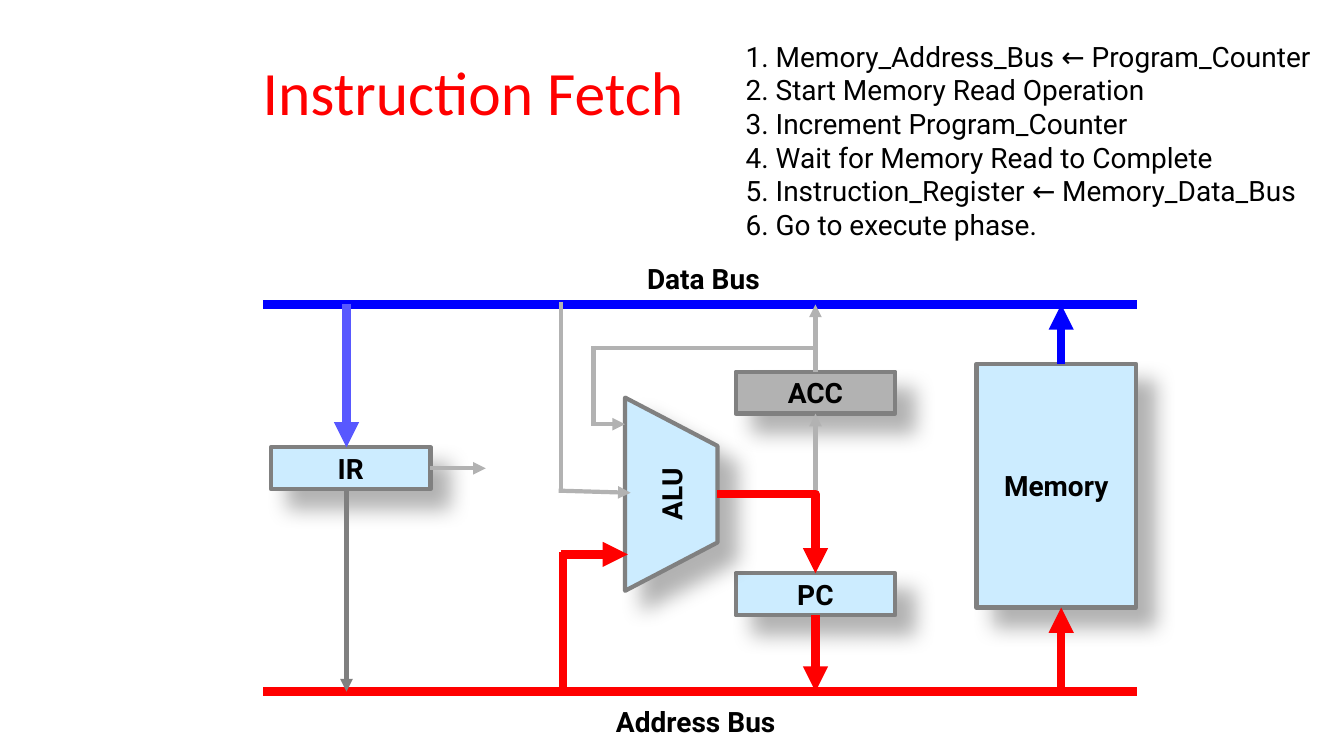
from dataclasses import dataclass
from typing import Optional

import lxml.etree
import pptx
import pptx.dml.color
import pptx.enum.shapes
import pptx.enum.text
import pptx.oxml
import pptx.oxml.ns
import pptx.util

Pt = pptx.util.Pt
ALIGN = pptx.enum.text.PP_ALIGN
ANCHOR = pptx.enum.text.MSO_ANCHOR
CONNECTOR = pptx.enum.shapes.MSO_CONNECTOR
qn = pptx.oxml.ns.qn

COLORS = {
    "red": "FF0000",
    "blue": "0000FF",
    "light_blue": "5858FF",
    "pale": "CCECFF",
    "silver": "B2B2B2",
    "gray": "808080",
    "black": "000000",
}
THICK, THIN = 6, 3
TOP, LEFT, BOTTOM, RIGHT = range(4)
DATA_Y, ADDRESS_Y = 217.5, 494
BUS_LEFT, BUS_RIGHT = 188, 812
REGISTER_X, REGISTER_WIDTH, REGISTER_HEIGHT = 525.5, 114, 30
REGISTER_MIDDLE = REGISTER_X + REGISTER_WIDTH / 2
IR_X, IR_Y, IR_WIRE_X = 193.5, 319.5, 247.5
ACC_Y, PC_Y = 265.5, 409.5
MEMORY_Y, MEMORY_HEIGHT, MEMORY_WIRE_X = 260, 174, 758
ALU_OUT = (512.5, 353)


@dataclass
class Block:
    name: str
    left: float
    top: float
    width: float
    height: float
    fill: str = "pale"


@dataclass
class Wire:
    start: tuple[float, float]
    end: tuple[float, float]
    color: str
    width: float
    arrow: bool = True
    bent: bool = False
    source: Optional[tuple[str, int]] = None


@dataclass
class Label:
    lines: list[str]
    left: float
    top: float
    width: float
    height: float
    bold: bool = True
    align: int = ALIGN.CENTER


BUSES = [
    Wire((BUS_LEFT, ADDRESS_Y), (BUS_RIGHT, ADDRESS_Y), "red", THICK, arrow=False),
    Wire((BUS_LEFT, DATA_Y), (BUS_RIGHT, DATA_Y), "blue", THICK, arrow=False),
]
BLOCKS = [
    Block("Memory", 697.5, MEMORY_Y, REGISTER_WIDTH, MEMORY_HEIGHT),
    Block("IR", IR_X, IR_Y, REGISTER_WIDTH, REGISTER_HEIGHT),
    Block("ACC", REGISTER_X, ACC_Y, REGISTER_WIDTH, REGISTER_HEIGHT, "silver"),
    Block("PC", REGISTER_X, PC_Y, REGISTER_WIDTH, REGISTER_HEIGHT),
]
ALU = Block("ALU", 410.5, 320, 138, 66)
ALU_INSET = 34.5
WIRES = [
    # Memory
    Wire((MEMORY_WIRE_X, ADDRESS_Y), (MEMORY_WIRE_X, MEMORY_Y + MEMORY_HEIGHT), "red", THICK),
    Wire((MEMORY_WIRE_X, MEMORY_Y), (MEMORY_WIRE_X, DATA_Y), "blue", THICK),
    # Instruction register
    Wire((IR_WIRE_X, DATA_Y), (IR_WIRE_X, IR_Y), "light_blue", THICK),
    Wire((IR_WIRE_X, IR_Y + REGISTER_HEIGHT), (IR_WIRE_X, ADDRESS_Y), "gray", THIN),
    Wire((IR_X + REGISTER_WIDTH, IR_Y + REGISTER_HEIGHT / 2), (347, IR_Y + REGISTER_HEIGHT / 2),
         "silver", THIN, source=("IR", RIGHT)),
    # Program counter and accumulator outputs
    Wire((REGISTER_MIDDLE, PC_Y + REGISTER_HEIGHT), (REGISTER_MIDDLE, ADDRESS_Y),
         "red", THICK, source=("PC", BOTTOM)),
    Wire((REGISTER_MIDDLE, ACC_Y), (REGISTER_MIDDLE, DATA_Y),
         "silver", THIN, source=("ACC", TOP)),
    # ALU inputs
    Wire((400.5, 396), (448.5, 396), "red", THICK),
    Wire((399, 350.5), (450.5, 352), "silver", THIN),
    Wire((402, 394.5), (402, ADDRESS_Y), "red", THICK, arrow=False),
    Wire((400.5, 350), (400.5, 216), "silver", THIN, arrow=False),
    Wire((REGISTER_MIDDLE, 248.5), (425, 248.5), "silver", THIN, arrow=False),
    Wire((424, 247), (424, 301.5), "silver", THIN, arrow=False),
    Wire((422.5, 303), (446.5, 303), "silver", THIN),
    # ALU outputs
    Wire(ALU_OUT, (REGISTER_MIDDLE, ACC_Y + REGISTER_HEIGHT), "silver", THIN, bent=True),
    Wire(ALU_OUT, (REGISTER_MIDDLE, PC_Y), "red", THICK, bent=True),
]
BUS_LABELS = [
    Label(["Address Bus"], 386, 499.5, 222, 31),
    Label(["Data Bus"], 391.5, 183.5, 222, 31),
]
STEPS = Label(
    [
        "1. Memory_Address_Bus ← Program_Counter",
        "2. Start Memory Read Operation",
        "3. Increment Program_Counter",
        "4. Wait for Memory Read to Complete",
        "5. Instruction_Register ← Memory_Data_Bus",
        "6. Go to execute phase.",
    ],
    525.5, 24.5, 422.5, 152.5, bold=False, align=ALIGN.LEFT,
)


def rgb(name: str) -> pptx.dml.color.RGBColor:
    return pptx.dml.color.RGBColor.from_string(COLORS[name])


def format_text(text_frame, align, size=20, font="Roboto", color="black", bold=False) -> None:
    for paragraph in text_frame.paragraphs:
        paragraph.alignment = align
        for run in paragraph.runs:
            run.font.size = Pt(size)
            run.font.name = font
            run.font.bold = bold
            run.font.color.rgb = rgb(color)


def add_shadow(shape) -> None:
    shape.element.spPr.append(pptx.oxml.parse_xml(
        f'<a:effectLst {pptx.oxml.ns.nsdecls("a")}>'
        f'<a:outerShdw blurRad="{Pt(15)}" dist="{Pt(18)}" dir="2700000" algn="tl" rotWithShape="0">'
        '<a:srgbClr val="000000"><a:alpha val="30000"/></a:srgbClr>'
        '</a:outerShdw></a:effectLst>'))


def format_block(shape, block: Block) -> None:
    shape.fill.solid()
    shape.fill.fore_color.rgb = rgb(block.fill)
    shape.line.color.rgb = rgb("gray")
    shape.line.width = Pt(3)
    add_shadow(shape)
    text_frame = shape.text_frame
    text_frame.text = block.name
    text_frame.word_wrap = False
    text_frame.vertical_anchor = ANCHOR.MIDDLE
    format_text(text_frame, ALIGN.CENTER, bold=True)


def add_block(shapes, block: Block):
    shape = shapes.add_shape(pptx.enum.shapes.MSO_SHAPE.RECTANGLE, Pt(block.left), Pt(block.top),
                             Pt(block.width), Pt(block.height))
    format_block(shape, block)
    return shape


def add_alu(shapes, block: Block) -> None:
    right, bottom = block.left + block.width, block.top + block.height
    builder = shapes.build_freeform(Pt(block.left), Pt(block.top))
    builder.add_line_segments([(Pt(right), Pt(block.top)),
                               (Pt(right - ALU_INSET), Pt(bottom)),
                               (Pt(block.left + ALU_INSET), Pt(bottom))])
    shape = builder.convert_to_shape()
    shape.rotation = 270
    format_block(shape, block)


def add_wire(shapes, wire: Wire, blocks: dict) -> None:
    kind = CONNECTOR.ELBOW if wire.bent else CONNECTOR.STRAIGHT
    connector = shapes.add_connector(kind, *map(Pt, wire.start + wire.end))
    properties = connector.element.spPr
    if wire.bent:
        properties.find(qn("a:prstGeom")).set("prst", "bentConnector2")
    connector.line.color.rgb = rgb(wire.color)
    connector.line.width = Pt(wire.width)
    if wire.arrow:
        line = properties.find(qn("a:ln"))
        lxml.etree.SubElement(line, qn("a:tailEnd"), type="triangle")
    lxml.etree.SubElement(properties, qn("a:effectLst"))
    if wire.source:
        name, side = wire.source
        connector.begin_connect(blocks[name], side)


def add_label(shapes, label: Label) -> None:
    shape = shapes.add_textbox(Pt(label.left), Pt(label.top), Pt(label.width), Pt(label.height))
    text_frame = shape.text_frame
    text_frame.text = "\n".join(label.lines)
    text_frame.word_wrap = True
    text_frame.auto_size = pptx.enum.text.MSO_AUTO_SIZE.SHAPE_TO_FIT_TEXT
    format_text(text_frame, label.align, bold=label.bold)


def main() -> None:
    presentation = pptx.Presentation()
    presentation.slide_width, presentation.slide_height = Pt(960), Pt(540)
    slide = presentation.slides.add_slide(presentation.slide_layouts[5])

    # Title
    title = slide.shapes.title
    title.left, title.top, title.width, title.height = Pt(-70), Pt(24.5), Pt(816), Pt(81.5)
    title.text_frame.text = "Instruction Fetch"
    title.text_frame.vertical_anchor = ANCHOR.MIDDLE
    format_text(title.text_frame, ALIGN.CENTER, 44, "Calibri", "red")

    # Datapath diagram
    diagram = slide.shapes.add_group_shape().shapes
    for bus in BUSES:
        add_wire(diagram, bus, {})
    blocks = {block.name: add_block(diagram, block) for block in BLOCKS}
    add_alu(diagram, ALU)
    for wire in WIRES:
        add_wire(diagram, wire, blocks)
    for label in BUS_LABELS:
        add_label(diagram, label)

    # Fetch steps
    add_label(slide.shapes, STEPS)
    presentation.save("out.pptx")


if __name__ == "__main__":
    main()
